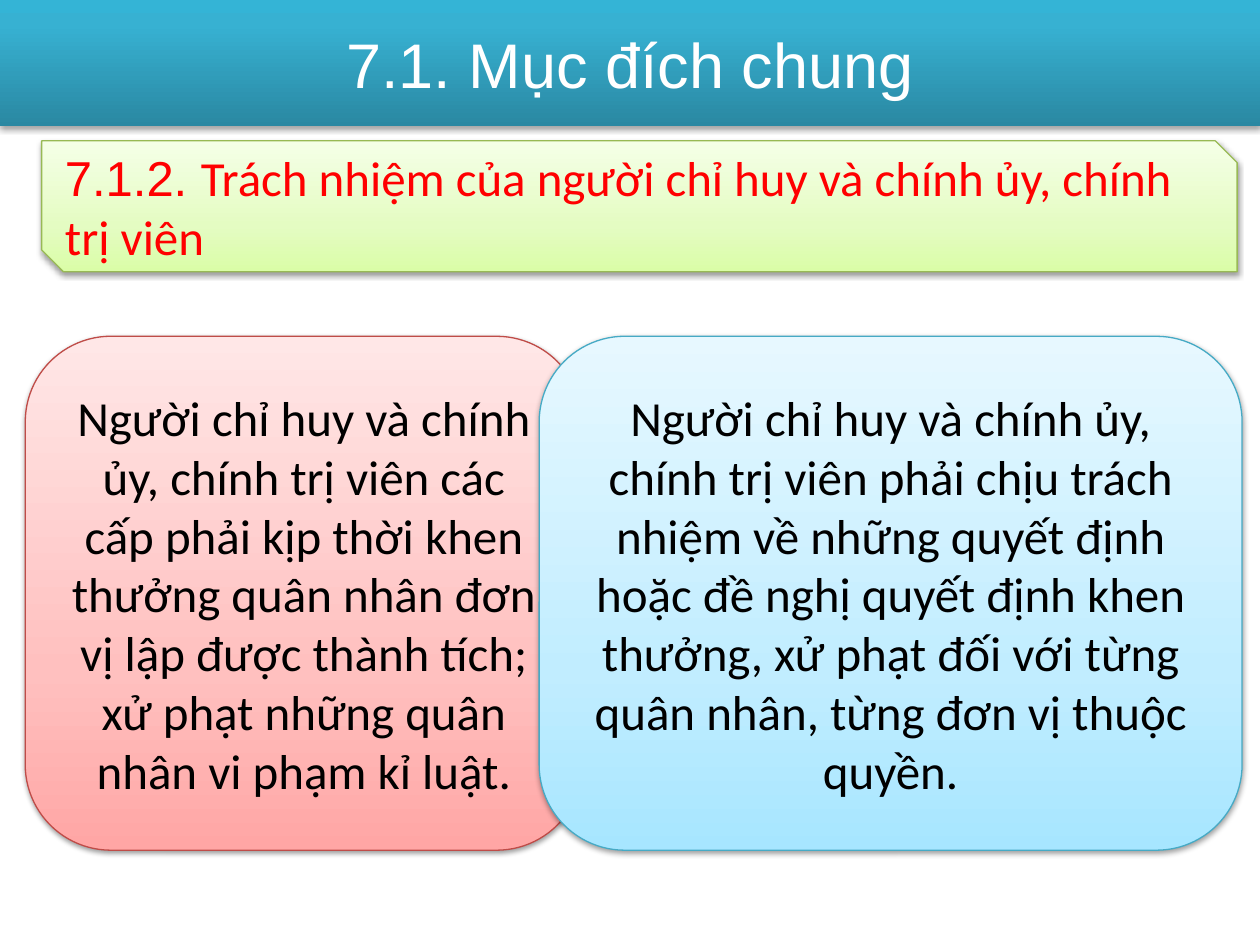
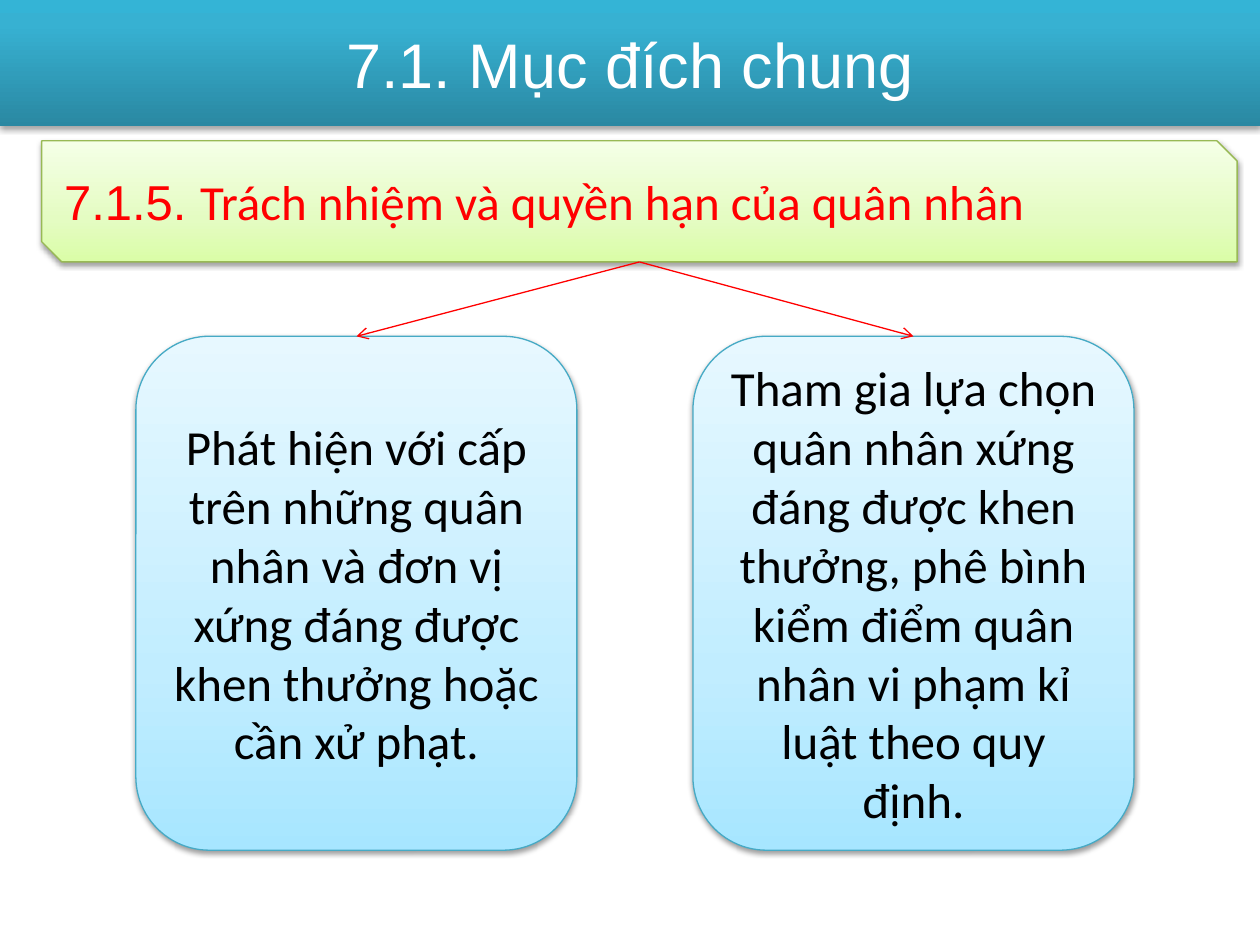
from dataclasses import dataclass

from lxml import etree
from pptx import Presentation
from pptx import util as u
from pptx.dml.color import RGBColor
from pptx.enum import shapes, text
from pptx.oxml import parse_xml
from pptx.oxml.ns import nsdecls, qn


@dataclass(frozen=True)
class Look:
    """Gradient stops, outline and shadow of one kind of panel."""
    stops: tuple
    line: str = None
    shadow: tuple = (38, 3.1, 1.6)


@dataclass(frozen=True)
class Theme:
    """Colours, fonts and type sizes shared by the slides."""
    band: Look = Look(((0, "2A88A2"), (80, "37B1D2"), (100, "34B4D6")), None, (35, 3.1, 1.8))
    green: Look = Look(((0, "DAFDA7"), (35, "E4FCC2"), (100, "F5FFE7")), "98B955")
    red: Look = Look(((0, "FFA6A5"), (35, "FFC0BF"), (100, "FFE7E7")), "BF4C48")
    blue: Look = Look(((0, "A7E6FF"), (35, "C1EDFF"), (100, "E7F8FF")), "46AAC5")
    white: str = "FFFFFF"
    accent: str = "FF0000"
    ink: str = "000000"
    head_font: str = "Arial"
    body_font: str = "Calibri"
    title_size: int = 36
    body_size: int = 28
    line_width: float = 0.75


T = Theme()
SHAPE = shapes.MSO_SHAPE
ALIGN = text.PP_ALIGN
TITLE = "7.1. Mục đích chung"
TITLE_BOX = (0, 0, 25.4, 2.54)
CARD_TOP, CARD_HEIGHT = 6.78, 10.36


def place(sp, box):
    """Move a shape to a box given in centimetres."""
    for name, value in zip(("left", "top", "width", "height"), box):
        setattr(sp, name, u.Cm(value))


def paint(sp, look):
    """Give a shape its gradient, outline and soft shadow."""
    stops = "".join(f'<a:gs pos="{pos * 1000}"><a:srgbClr val="{color}"/></a:gs>'
                    for pos, color in look.stops)
    props = sp.element.spPr
    props.find(qn("a:prstGeom")).addnext(parse_xml(
        f'<a:gradFill {nsdecls("a")} rotWithShape="1"><a:gsLst>{stops}</a:gsLst>'
        '<a:lin ang="16200000" scaled="0"/></a:gradFill>'))
    if look.line:
        sp.line.color.rgb = RGBColor.from_string(look.line)
        sp.line.width = u.Pt(T.line_width)
    else:
        sp.line.fill.background()
    sp.shadow.inherit = False
    alpha, blur, dist = look.shadow
    props.find(qn("a:effectLst")).append(parse_xml(
        f'<a:outerShdw {nsdecls("a")} blurRad="{u.Pt(blur)}" dist="{u.Pt(dist)}" '
        'dir="5400000" rotWithShape="0"><a:srgbClr val="000000">'
        f'<a:alpha val="{alpha * 1000}"/></a:srgbClr></a:outerShdw>'))


def write(sp, runs, size, color, align):
    """Fill a shape with one paragraph made of (text, font) runs."""
    tf = sp.text_frame
    for name, value in {"word_wrap": True, "vertical_anchor": text.MSO_ANCHOR.MIDDLE,
                        "auto_size": text.MSO_AUTO_SIZE.NONE}.items():
        setattr(tf, name, value)
    p = tf.paragraphs[0]
    p.alignment = align
    for words, font in runs:
        r = p.add_run()
        r.text = words
        for name, value in {"name": font, "size": u.Pt(size)}.items():
            setattr(r.font, name, value)
        r.font.color.rgb = RGBColor.from_string(color)


def title_band(s, box):
    """Turn the title placeholder into the rounded band."""
    sp = s.shapes.title
    place(sp, box)
    sp.element.spPr.append(parse_xml(
        f'<a:prstGeom {nsdecls("a")} prst="roundRect"><a:avLst/></a:prstGeom>'))
    paint(sp, T.band)
    write(sp, [(TITLE, T.head_font)], T.title_size, T.white, ALIGN.CENTER)


def panel(s, kind, box, look, runs, color, align):
    """Add a painted preset shape with text."""
    sp = s.shapes.add_shape(kind, *map(u.Cm, box))
    paint(sp, look)
    write(sp, runs, T.body_size, color, align)
    return sp


def heading(s, box, number, words):
    """Add the green section heading."""
    runs = [(number + " ", T.head_font), (words, T.body_font)]
    return panel(s, SHAPE.SNIP_2_DIAG_RECTANGLE, box, T.green, runs, T.accent, ALIGN.LEFT)


def card(s, left, width, look, words):
    """Add a rounded card in the card row."""
    return panel(s, SHAPE.ROUNDED_RECTANGLE, (left, CARD_TOP, width, CARD_HEIGHT), look,
                 [(words, T.body_font)], T.ink, ALIGN.CENTER)


def arrow(s, source, target):
    """Draw an arrow from the bottom of source to the top of target."""
    x, y = source.left + source.width // 2, source.top + source.height
    cx = s.shapes.add_connector(shapes.MSO_CONNECTOR.STRAIGHT, x, y, target.left, target.top)
    cx.end_connect(target, 0)
    cx.line.color.rgb = RGBColor.from_string(T.accent)
    cx.line.width = u.Pt(T.line_width)
    etree.SubElement(cx.line._get_or_add_ln(), qn("a:tailEnd"), type="arrow")
    etree.SubElement(cx.element.spPr, qn("a:effectLst"))


def section_slide(prs, number, words, height, cards, arrows=False):
    """Build a slide with the band, a heading and a row of cards."""
    s = prs.slides.add_slide(prs.slide_layouts[5])
    title_band(s, TITLE_BOX)
    head = heading(s, (0.84, 2.84, 24.1, height), number, words)
    row = [card(s, *values) for values in cards]
    if arrows:
        for sp in row:
            arrow(s, head, sp)


def main():
    """Build and save the presentation."""
    prs = Presentation()
    prs.slide_width, prs.slide_height = u.Cm(25.4), u.Cm(19.05)
    section_slide(
        prs, "7.1.2.", "Trách nhiệm của người chỉ huy và chính ủy, chính trị viên", 2.64,
        [(0.51, 11.23, T.red,
          "Người chỉ huy và chính ủy, chính trị viên các cấp phải kịp thời khen thưởng "
          "quân nhân đơn vị lập được thành tích; xử phạt những quân nhân vi phạm kỉ luật."),
         (10.87, 14.17, T.blue,
          "Người chỉ huy và chính ủy, chính trị viên phải chịu trách nhiệm về những quyết "
          "định hoặc đề nghị quyết định khen thưởng, xử phạt đối với từng quân nhân, "
          "từng đơn vị thuộc quyền.")])
    section_slide(
        prs, "7.1.5.", "Trách nhiệm và quyền hạn của quân nhân", 2.44,
        [(2.74, 8.89, T.blue,
          "Phát hiện với cấp trên những quân nhân và đơn vị xứng đáng được khen thưởng "
          "hoặc cần xử phạt."),
         (13.97, 8.89, T.blue,
          "Tham gia lựa chọn quân nhân xứng đáng được khen thưởng, phê bình kiểm điểm "
          "quân nhân vi phạm kỉ luật theo quy định.")],
        arrows=True)
    prs.save("out.pptx")


if __name__ == "__main__":
    main()
